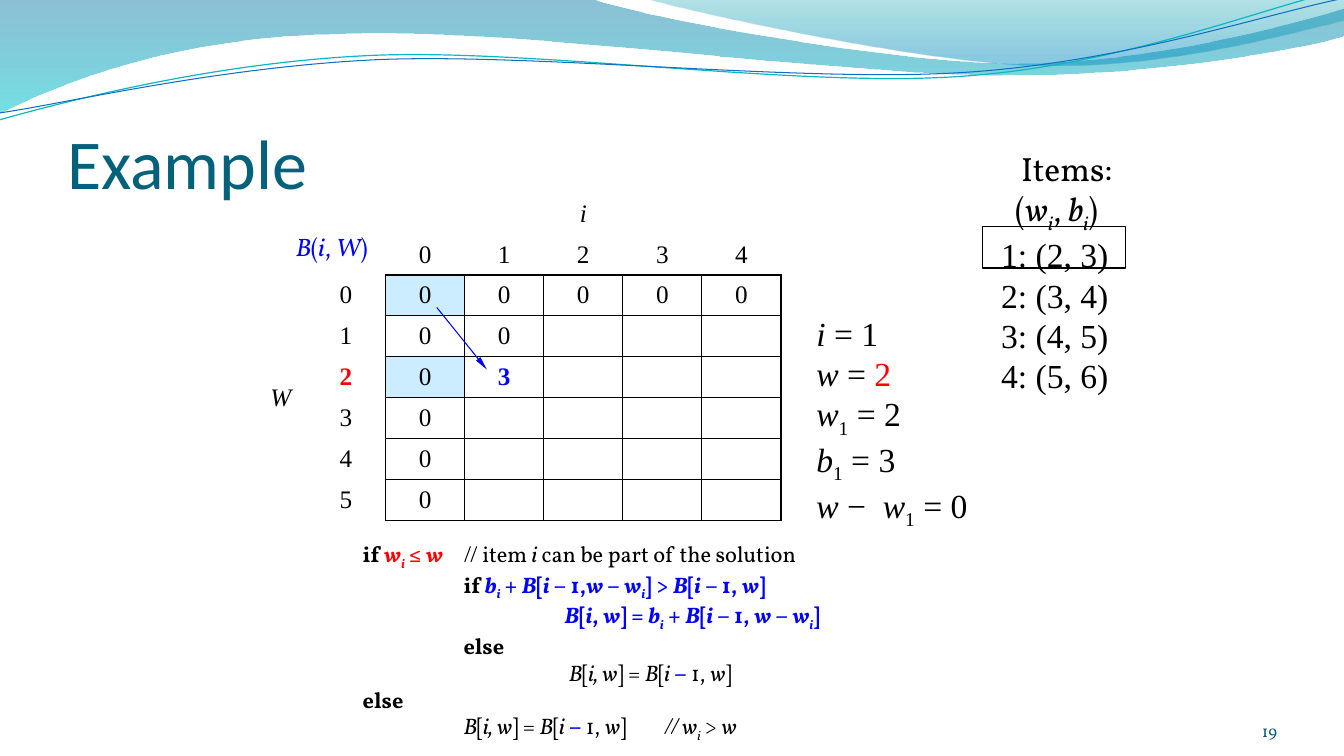
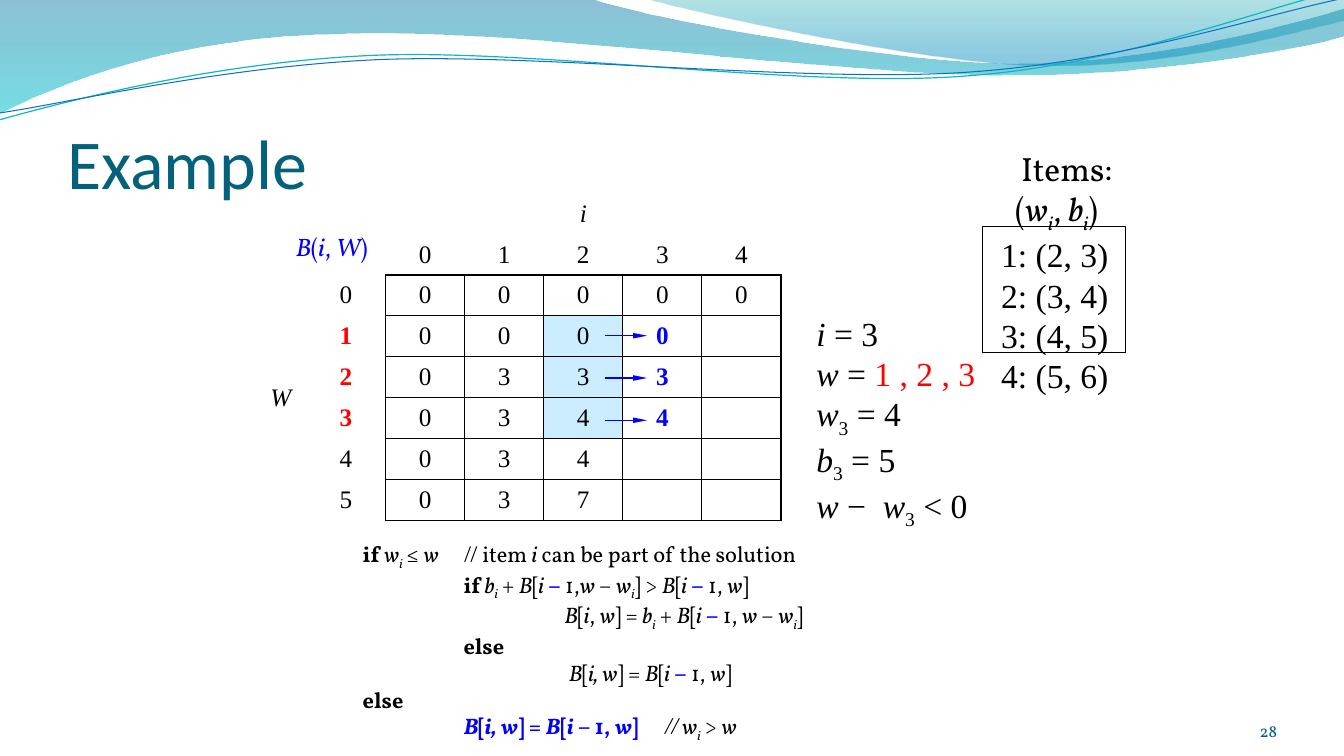
from dataclasses import dataclass

from lxml.etree import SubElement
from pptx import Presentation
from pptx.dml.color import RGBColor
from pptx.enum.shapes import MSO_CONNECTOR, MSO_SHAPE
from pptx.enum.text import MSO_ANCHOR, PP_ALIGN
from pptx.oxml.ns import qn
from pptx.util import Pt

COLORS = {
    "black": "000000", "red": "FF0000", "blue": "0000FF", "shade": "CCECFF",
    "title": "04617B", "number": "045D75", "teal_line": "0AB8BF", "blue_line": "0F6FC6",
    "deep": "0074A1", "cyan": "00C6CF", "sea": "00A1A9", "sky": "008BBF",
}
HEADING, SERIF, BODY = "Calibri", "Times New Roman", "Vollkorn"
MARKS = {"*": "bold", "~": "italic", "_": "subscript", "^": "red", "#": "blue"}

BAND = [[(0, 0)], [(422.6, -0.7)],
        [(456.5, 12.2), (637.2, 45.4), (727.9, 45.4)],
        [(819.4, 45.4), (920.2, 18.7), (960, 6.5)],
        [(961.2, 25.9)],
        [(943.9, 31.7), (835.2, 54.7), (715.7, 54)],
        [(596.9, 54), (366.5, 20.2), (247, 24.5)],
        [(123.8, 25.9), (43.9, 59.8), (-0.7, 81.4)]]
GLOW = [[(460, -0.7)],
        [(488.9, 7.9), (654.5, 44.6), (738, 46.8)],
        [(835.2, 49.7), (923, 23), (960, 15.1)],
        [(960, 0)]]
TEAL_WAVE = [[(-0.7, 85.7)],
             [(46.1, 72.7), (151.9, 44.6), (265.7, 39.6)],
             [(379.4, 34.6), (568.8, 62.6), (684, 54.7)],
             [(799.2, 47.5), (901.4, 5.8), (958.3, -7.2)]]
BLUE_WAVE = [[(0, 80.6)],
             [(45.4, 74.2), (157, 47.5), (272.2, 42.5)],
             [(386.6, 38.2), (573.1, 59), (687.6, 51.8)],
             [(802.8, 44.6), (903.6, 10.1), (960.5, -1.4)]]

MINUS = "*# − #*"
COMMENT = "\t// item ~i~ can be part of the solution"
ASSIGN = "~B~[~i, w~] = ~B~[~i~"
KEEP = f"{ASSIGN}{MINUS}1, ~w~]"
HEAVIER = "\t~// w_i_ ~> ~w"
TAKE = "~B~[~i~, ~w~] = ~b_i_~ + ~B~[~i~"
REST = "1, ~w ~− ~w_i_~]"
ITEMS = ["(~w_i_~, ~b_i_~)", "1: (2, 3)", "2: (3, 4)", "3: (4, 5)", "4: (5, 6)"]


@dataclass
class Step:
    """One stage of filling the table."""

    number: int
    item: int
    weights: str
    facts: tuple
    difference: str
    rows: list
    active: set
    shaded: set
    arrows: list
    frame_height: float
    condition: str
    test: str
    take: str
    skip: str


STEPS = [
    Step(19, 1, "2", (2, 3), "= 0",
         ["0 0 0 0 0", "0 0", "0 *#3#*", "0", "0", "0"],
         {2}, {(0, 0), (2, 0)}, [(129.6, 81.6, 165.4, 126)], 29.5,
         "*if* *^~w_i_ ~≤ ~w~^*",
         "*if* *#~b_i_~ + ~B~[~i ~− 1,~w ~− ~w_i_~] > ~B~[~i~ − 1, ~w~]",
         f"*#{TAKE} − {REST}", KEEP),
    Step(28, 3, "1 , 2 , 3", (4, 5), "< 0",
         ["0 0 0 0 0", "0 0 0 *#0#*", "0 3 3 *#3#*", "0 3 4 *#4#*", "0 3 4", "0 3 7"],
         {1, 2, 3}, {(1, 2), (2, 2), (3, 2)},
         [(249.6, 101.8 + 30.2 * row, 279.8, 101.8 + 30.2 * row) for row in range(3)], 90,
         "*if* ~w_i_ ~≤ ~w~",
         f"*if* ~b_i_~ + ~B~[~i~{MINUS}1,~w ~− ~w_i_~] > ~B~[~i~{MINUS}1, ~w~]",
         f"{TAKE}{MINUS}{REST}", f"*#{ASSIGN} − 1, ~w~]#*"),
]


def rgb(name):
    """Return a named colour."""
    return RGBColor.from_string(COLORS[name])


def parse_marks(line):
    """Split marked text into pieces with their active styles."""
    pieces, active, text = [], set(), ""
    for character in line:
        if character in MARKS:
            if text:
                pieces.append((text, frozenset(active)))
            text = ""
            active ^= {MARKS[character]}
        else:
            text += character
    return pieces + [(text, frozenset(active))] if text else pieces


def write_paragraph(paragraph, line, font, size, color="black"):
    """Fill a paragraph with marked text."""
    for text, styles in parse_marks(line):
        run = paragraph.add_run()
        run.text = text
        run.font.name, run.font.size = font, Pt(size)
        run.font.bold, run.font.italic = "bold" in styles, "italic" in styles
        shown = next((name for name in ("red", "blue") if name in styles), color)
        run.font.color.rgb = rgb(shown)
        if "subscript" in styles:
            run.font._element.set("baseline", "-25000")


def add_text(slide, box, lines, font, size, color="black", anchor=MSO_ANCHOR.TOP, insets=None):
    """Add a wrapped text box and return its paragraphs."""
    frame = slide.shapes.add_textbox(*map(Pt, box)).text_frame
    frame.word_wrap = True
    frame.vertical_anchor = anchor
    if insets:
        (frame.margin_left, frame.margin_top,
         frame.margin_right, frame.margin_bottom) = map(Pt, insets)
    for index, line in enumerate(lines):
        paragraph = frame.add_paragraph() if index else frame.paragraphs[0]
        write_paragraph(paragraph, line, font, size, color)
    return frame.paragraphs


def add_outline(slide, segments, close):
    """Add a freeform whose three-point segments are cubic curves."""
    points = [(Pt(x), Pt(y)) for segment in segments for x, y in segment]
    builder = slide.shapes.build_freeform(*points[0])
    builder.add_line_segments(points[1:], close=close)
    shape = builder.convert_to_shape()
    shape.shadow.inherit = False
    corners = iter(list(shape.element.iter(qn("a:lnTo"))))
    for segment in segments[1:]:
        lines = [next(corners) for _ in segment]
        if len(lines) == 3:
            outline = lines[0].getparent()
            curve = SubElement(outline, qn("a:cubicBezTo"))
            outline.replace(lines[0], curve)
            for line in lines:
                curve.append(line[0])
            for line in lines[1:]:
                outline.remove(line)
    return shape


def add_waves(slide, layout):
    """Draw the header waves and hand them to the layout."""
    waves = []
    for segments, stops in ((BAND, [(0, "deep", 45), (1, "cyan", 55)]),
                            (GLOW, [(0, "sea", 30), (0.8, "sky", 45)])):
        shape = add_outline(slide, segments, True)
        shape.line.fill.background()
        shape.fill.gradient()
        shape.fill.gradient_angle = 270
        for stop, (position, color, _) in zip(shape.fill.gradient_stops, stops):
            stop.position = position
            stop.color.rgb = rgb(color)
        for node, (_, _, opacity) in zip(shape.element.iter(qn("a:srgbClr")), stops):
            SubElement(node, qn("a:alpha"), val=str(opacity * 1000))
        waves.append(shape)
    for segments, color, width in ((TEAL_WAVE, "teal_line", 0.85), (BLUE_WAVE, "blue_line", 0.75)):
        shape = add_outline(slide, segments, False)
        shape.fill.background()
        shape.line.color.rgb = rgb(color)
        shape.line.width = Pt(width)
        waves.append(shape)
    for shape in waves:
        layout.shapes.element.append(shape.element)


def set_borders(cell, sides):
    """Draw the named sides of a cell and clear the others."""
    properties = cell._tc.get_or_add_tcPr()
    for index, side in enumerate("LRTB"):
        line = SubElement(properties, qn(f"a:ln{side}"), w=str(Pt(1)))
        if side in sides:
            fill = SubElement(line, qn("a:solidFill"))
            SubElement(fill, qn("a:srgbClr"), val=COLORS["black"])
        else:
            SubElement(line, qn("a:noFill"))
        properties.insert(index, line)


def fill_cell(cell, text, sides="", shaded=False):
    """Style one cell and write its centred text."""
    if shaded:
        cell.fill.solid()
        cell.fill.fore_color.rgb = rgb("shade")
    else:
        cell.fill.background()
    set_borders(cell, sides)
    cell.vertical_anchor = MSO_ANCHOR.MIDDLE
    paragraph = cell.text_frame.paragraphs[0]
    paragraph.alignment = PP_ALIGN.CENTER
    write_paragraph(paragraph, text, SERIF, 18)


def add_arrow(slide, left, top, ends):
    """Draw an arrow between two points relative to a corner."""
    x1, y1, x2, y2 = ends
    arrow = slide.shapes.add_connector(MSO_CONNECTOR.STRAIGHT, Pt(left + x1), Pt(top + y1),
                                       Pt(left + x2), Pt(top + y2))
    arrow.line.color.rgb = rgb("blue")
    arrow.line.width = Pt(0.75)
    SubElement(arrow.line._get_or_add_ln(), qn("a:tailEnd"), type="triangle", w="sm", len="lg")
    SubElement(arrow.element.spPr, qn("a:effectLst"))


def add_grid(slide, box, step):
    """Build the table of best values with its name and arrows."""
    left, top, width, height = box
    table = slide.shapes.add_table(8, 7, *map(Pt, box)).table
    table.first_row = table.horz_banding = False
    for index, column in enumerate(table.columns):
        column.width = Pt(36.5 if index == 0 else (width - 36.5) / 6)
    for row in table.rows:
        row.height = Pt(height / 8)
    for row in range(8):
        values = step.rows[row - 2].split() if row > 1 else []
        for column in range(7):
            text, sides, shaded = "", "", False
            if row == 1 and column > 1:
                text, sides = str(column - 2), "B"
            elif row > 1 and column == 1:
                label = str(row - 2)
                text, sides = (f"*^{label}" if row - 2 in step.active else label), "R"
            elif row > 1 and column > 1:
                text = values[column - 2] if column - 2 < len(values) else ""
                sides, shaded = "LRTB", (row - 2, column - 2) in step.shaded
            elif (row, column) in ((0, 2), (2, 0)):
                text = "~i" if row == 0 else "~W"
            fill_cell(table.cell(row, column), text, sides, shaded)
    table.cell(0, 2).merge(table.cell(0, 6))
    table.cell(2, 0).merge(table.cell(7, 0))
    for ends in step.arrows:
        add_arrow(slide, left, top, ends)
    add_text(slide, (left + 21.8, top + 24, 72, 28.8), ["~B~(~i~, ~W~)"], BODY, 18, "blue")


def add_items(slide, box, frame_height):
    """List the items and frame those considered so far."""
    left, top, width, _ = box
    paragraphs = add_text(slide, box, ["Items:"] + ITEMS[:1], BODY, 24)
    paragraphs[0].alignment = PP_ALIGN.CENTER
    paragraphs[1]._p.get_or_add_pPr().set("marL", str(Pt(10)))
    frame = slide.shapes[-1].text_frame
    for line in ITEMS[1:]:
        write_paragraph(frame.add_paragraph(), line, SERIF, 24)
    outline = slide.shapes.add_shape(MSO_SHAPE.RECTANGLE, Pt(left - 6), Pt(top + 59.8),
                                     Pt(width - 6), Pt(frame_height))
    outline.shadow.inherit = False
    outline.fill.background()
    outline.line.color.rgb = rgb("black")
    outline.line.width = Pt(1)


def add_facts(slide, box, step):
    """Show the current values of the variables."""
    weight, benefit = step.facts
    lines = [f"~i ~= {step.item}", f"~w ~= ^{step.weights}", f"~w~_{step.item}_ = {weight}",
             f"~b~_{step.item}_ = {benefit}", f"~w ~−  ~w~_{step.item}_ {step.difference}"]
    add_text(slide, box, lines, SERIF, 24)


def add_code(slide, box, step):
    """Show the algorithm with the active branch emphasised."""
    lines = [step.condition + COMMENT, "\t" + step.test, "\t\t" + step.take, "\t*else",
             "\t\t ~" + KEEP[1:], "*else", "\t" + step.skip + HEAVIER]
    for paragraph in add_text(slide, box, lines, BODY, 16):
        paragraph._p.get_or_add_pPr().set("defTabSz", str(Pt(72)))


def build_slide(slide, step):
    """Place every region of one example slide."""
    add_text(slide, (48, 55.4, 864, 90), ["Example"], HEADING, 50, "title",
             MSO_ANCHOR.BOTTOM, (0, 3.6, 0, 0))
    add_grid(slide, (182.4, 138, 375.5, 233.6), step)
    add_code(slide, (252, 382.4, 408, 145.4), step)
    add_items(slide, (708, 102.2, 108, 181.4), step.frame_height)
    add_facts(slide, (576, 219.6, 150, 152.6), step)
    number = add_text(slide, (832.3, 500.4, 79.9, 28.8), [str(step.number)], BODY, 12,
                      "number", MSO_ANCHOR.BOTTOM, (0, 0, 0, 0))
    number[0].alignment = PP_ALIGN.RIGHT


def main():
    """Build and save the presentation."""
    presentation = Presentation()
    presentation.slide_width, presentation.slide_height = Pt(960), Pt(540)
    layout = presentation.slide_layouts[6]
    slides = [presentation.slides.add_slide(layout) for _ in STEPS]
    add_waves(slides[0], layout)
    for slide, step in zip(slides, STEPS):
        build_slide(slide, step)
    presentation.save("out.pptx")


if __name__ == "__main__":
    main()
